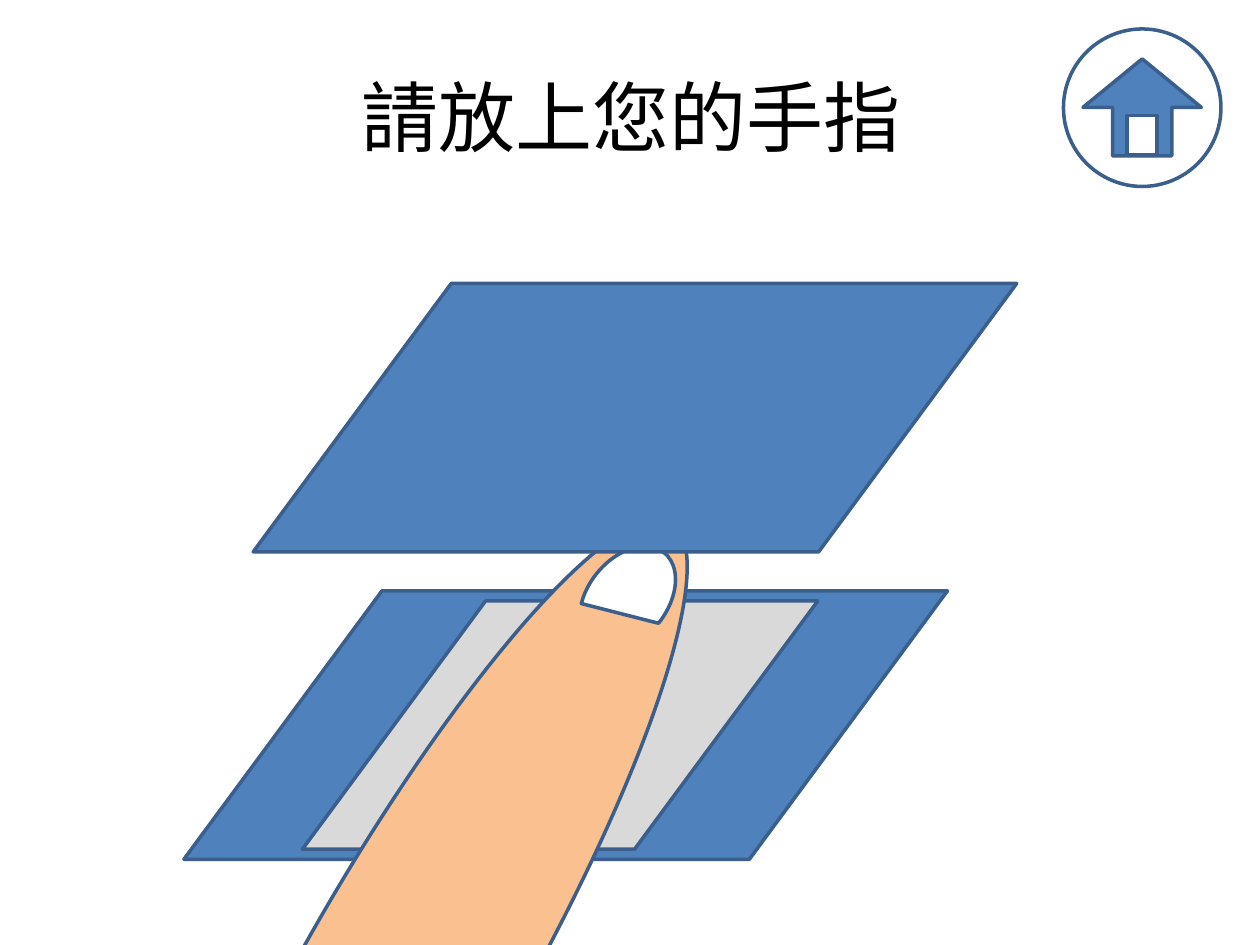
from pptx import Presentation
from pptx.dml.color import RGBColor
from pptx.enum.shapes import MSO_SHAPE
from pptx.enum.text import MSO_ANCHOR, PP_ALIGN
from pptx.util import Inches, Pt

BLUE = RGBColor(0x4F, 0x81, 0xBD)
OUTLINE = RGBColor(0x3A, 0x5F, 0x8C)
GREY = RGBColor(0xD9, 0xD9, 0xD9)
SKIN = RGBColor(0xFA, 0xC0, 0x90)
WHITE = RGBColor(0xFF, 0xFF, 0xFF)
BLACK = RGBColor(0, 0, 0)

PLATE_W, PLATE_H, SLANT = 6.06, 2.13, 0.738


def add_text(s, text, box, size=44, font="Calibri", color=BLACK,
             align=PP_ALIGN.CENTER, anchor=MSO_ANCHOR.MIDDLE):
    """Add a wrapped text box with one formatted run."""
    tf = s.shapes.add_textbox(*map(Inches, box)).text_frame
    tf.word_wrap = True
    tf.vertical_anchor = anchor
    p = tf.paragraphs[0]
    p.alignment = align
    r = p.add_run()
    r.text = text
    r.font.size, r.font.name = Pt(size), font
    r.font.color.rgb = color


def add_part(shapes, kind, box, fill, rotation=0, adj=None):
    """Add one outlined preset shape."""
    sp = shapes.add_shape(kind, *map(Inches, box))
    sp.shadow.inherit = False
    sp.fill.solid()
    sp.fill.fore_color.rgb = fill
    sp.line.color.rgb = OUTLINE
    sp.line.width = Pt(2)
    sp.rotation = rotation
    if adj is not None:
        sp.adjustments[0] = adj


def add_plate(s, x, y, w=PLATE_W, h=PLATE_H, fill=BLUE):
    """Add a slanted plate of the scanner."""
    add_part(s.shapes, MSO_SHAPE.PARALLELOGRAM, (x, y, w, h), fill, adj=SLANT)


def add_finger(s, x, y):
    """Add the finger and its nail; x, y is the centre of the nail."""
    shapes = s.shapes.add_group_shape().shapes
    for dx, dy, w, h, fill, rotation in (
            (-1.72, 2.99, 8.29, 1.7, SKIN, 119.9),
            (0, 0, 0.93, 0.63, WHITE, 128.7)):
        box = (x + dx - w / 2, y + dy - h / 2, w, h)
        add_part(shapes, MSO_SHAPE.CHORD, box, fill, rotation)


def add_scanner(s, x, y):
    """Add base, sensor, finger and lid; x, y is the base's top left corner."""
    add_plate(s, x, y)
    add_plate(s, x + 0.94, y + 0.08, 4.09, 1.97, GREY)
    add_finger(s, x + 3.52, y + 0.06)
    add_plate(s, x + 0.55, y - 2.44)


def add_home_button(s, x, y, d):
    """Add the round home button of diameter d."""
    shapes = s.shapes.add_group_shape().shapes
    for kind, dx, dy, w, h, fill, rotation in (
            (MSO_SHAPE.OVAL, 0, 0, 1, 1, WHITE, 0),
            (MSO_SHAPE.DOWN_ARROW, 0.124, 0.19, 0.752, 0.616, BLUE, 180),
            (MSO_SHAPE.RECTANGLE, 0.404, 0.55, 0.192, 0.25, WHITE, 0)):
        box = (x + dx * d, y + dy * d, w * d, h * d)
        add_part(shapes, kind, box, fill, rotation)


prs = Presentation()
prs.slide_width, prs.slide_height = Inches(10), Inches(7.5)
s = prs.slides.add_slide(prs.slide_layouts[6])
add_text(s, "請放上您的手指", (0.51, 0.29, 9, 1.25))
add_scanner(s, 1.46, 4.69)
add_home_button(s, 8.44, 0.23, 1.25)
prs.save("out.pptx")
